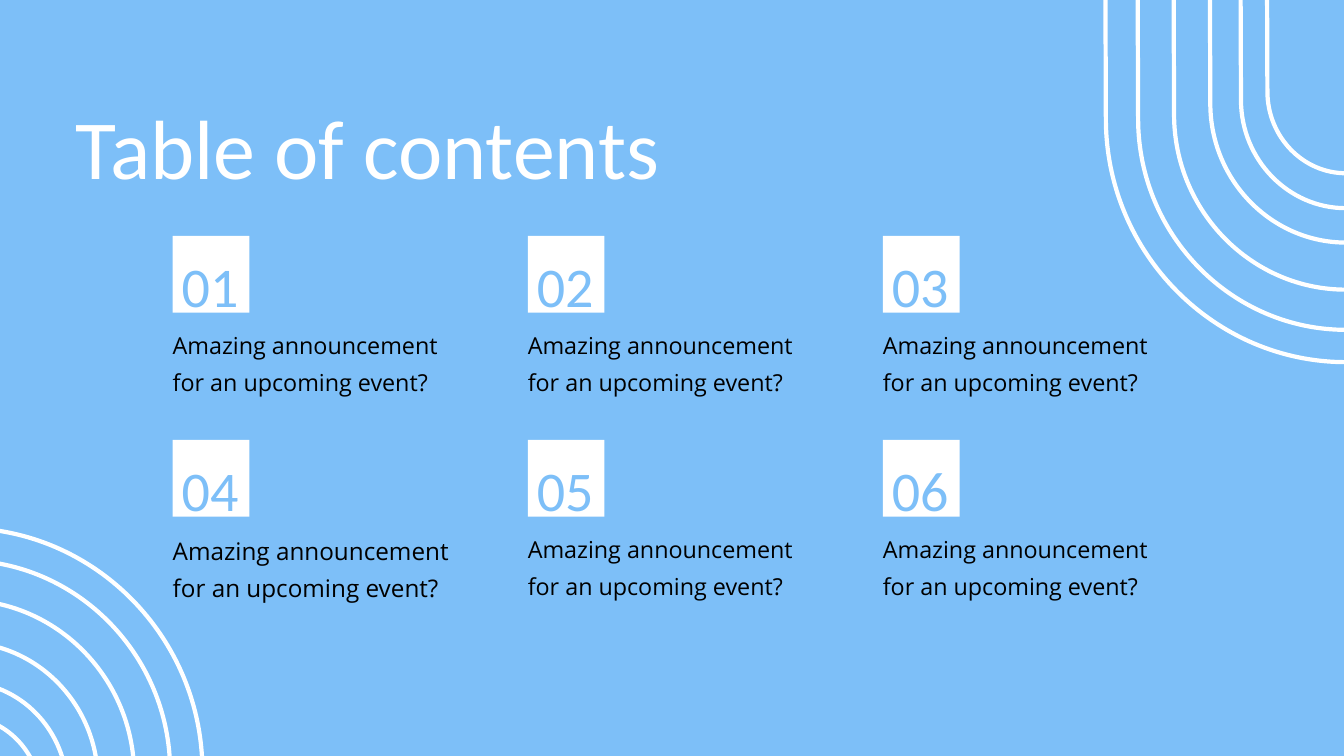
"""Build a table of contents slide with six numbered entries and line arches."""
import lxml.etree
import pptx
import pptx.dml.color
import pptx.enum.shapes
import pptx.enum.text
import pptx.oxml.ns
import pptx.util

Cm = pptx.util.Cm
SKY, WHITE, BLACK = "7DBFF8", "FFFFFF", "000000"


def color(value):
    return pptx.dml.color.RGBColor.from_string(value)


def add_text(text, *, left, top, width, height, size, font, ink, spacing=1.3):
    box = page.shapes.add_textbox(Cm(left), Cm(top), Cm(width), Cm(height))
    frame = box.text_frame
    frame.word_wrap = True
    frame.auto_size = pptx.enum.text.MSO_AUTO_SIZE.SHAPE_TO_FIT_TEXT
    frame.margin_left = frame.margin_right = frame.margin_top = frame.margin_bottom = 0
    frame.text = text
    for para in frame.paragraphs:
        para.line_spacing = spacing
        for span in para.runs:
            span.font.size = pptx.util.Pt(size)
            span.font.name = font
            span.font.color.rgb = color(ink)


deck = pptx.Presentation()
deck.slide_width, deck.slide_height = Cm(50.8), Cm(28.58)
page = deck.slides.add_slide(deck.slide_layouts[6])
page.background.fill.solid()
page.background.fill.fore_color.rgb = color(SKY)

add_text("Table of contents", left=2.87, top=2.84, width=26.29, height=9.14,
         size=90, font="Calibri", ink=WHITE, spacing=1.2)

number_widths = [2.21, 2.54, 2.54, 2.84, 2.95, 3.07]
for index, number_width in enumerate(number_widths):
    row, column = divmod(index, 3)
    left, top = 6.53 + 13.42 * column, 8.92 + 7.71 * row
    add_text("Amazing announcement\nfor an upcoming event?", left=left, top=top + 3.3,
             width=11.4, height=2.74, size=26 if index == 3 else 25,
             font="Open Sans", ink=BLACK)
    square = page.shapes.add_shape(pptx.enum.shapes.MSO_SHAPE.RECTANGLE,
                                   Cm(left), Cm(top), Cm(2.9), Cm(2.9))
    square.shadow.inherit = False
    square.fill.solid()
    square.fill.fore_color.rgb = color(WHITE)
    square.line.fill.background()
    add_text(f"{index + 1:02}", left=left + 0.34, top=top - 0.18, width=number_width,
             height=3.3 if row else 6.6, size=60, font="Calibri", ink=SKY)

arch_sizes = [(18.14, 29.49), (15.7, 26.72), (12.98, 23.52),
              (10.24, 20.35), (7.92, 17.73), (5.92, 15.24)]
arch_groups = [
    (50.85, -0.2, [-15.8, -14.25, -12.57, -11.18, -9.86, -8.69]),
    (-1.42, 180, [19.96, 21.18, 22.68, 24.28, 25.78, 27.08]),
]
for center, rotation, tops in arch_groups:
    for (width, height), top in zip(arch_sizes, tops):
        radius = width / 2
        depth = radius + 0.13
        bottom = top + height
        bend = bottom - depth
        left, right = center - radius, center + radius
        reach, drop = 0.55 * radius, bend + 0.55 * depth
        corners = [(right, top), (right, bend),
                   (right, drop), (center + reach, bottom), (center, bottom),
                   (center - reach, bottom), (left, drop), (left, bend)]
        outline = page.shapes.build_freeform(Cm(left), Cm(top))
        outline.add_line_segments([(Cm(x), Cm(y)) for x, y in corners], close=True)
        arch = outline.convert_to_shape()
        lines = list(arch.element.iter(pptx.oxml.ns.qn("a:lnTo")))
        for start in (2, 5):
            curve = lxml.etree.Element(pptx.oxml.ns.qn("a:cubicBezTo"))
            lines[start].addprevious(curve)
            for line in lines[start:start + 3]:
                curve.append(line[0])
                line.getparent().remove(line)
        arch.rotation = rotation
        arch.shadow.inherit = False
        arch.fill.background()
        arch.line.color.rgb = color(WHITE)
        arch.line.width = pptx.util.Pt(4.5)

deck.save("out.pptx")
